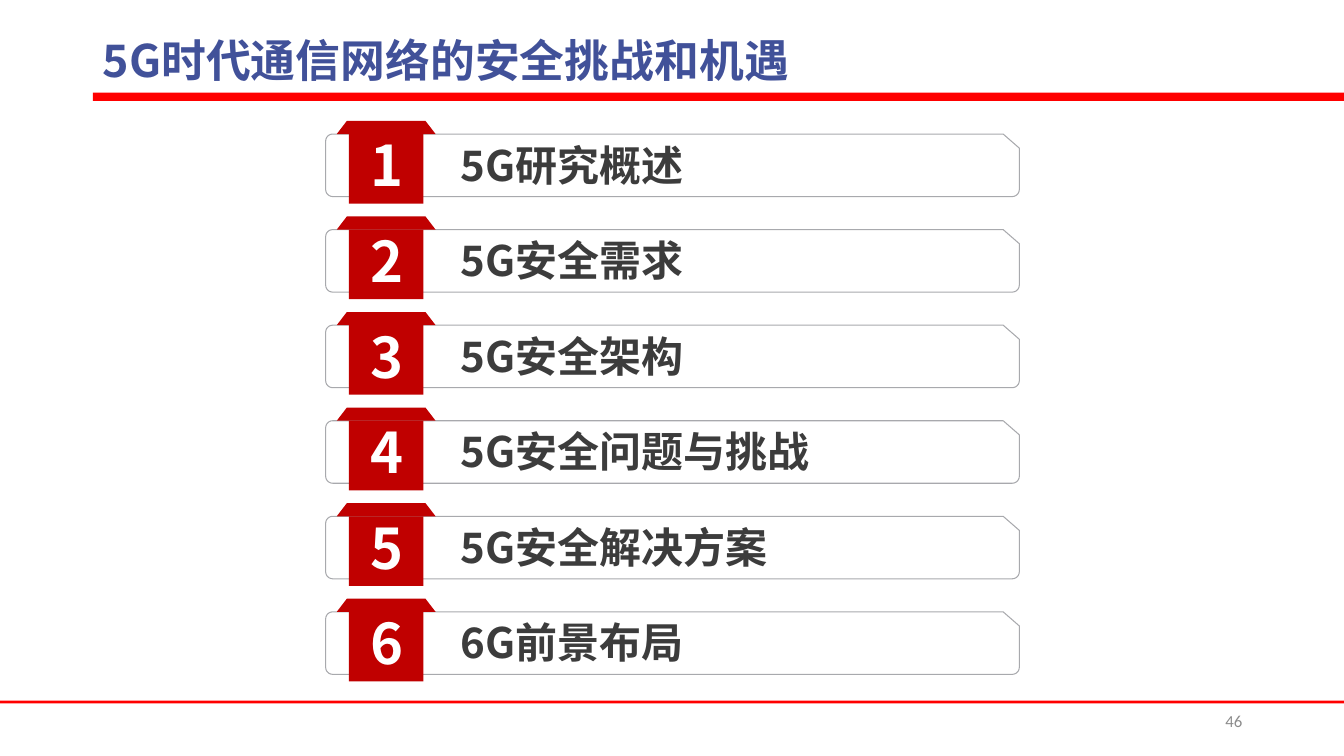
import math

import pptx
import pptx.dml.color
import pptx.enum.shapes
import pptx.enum.text
import pptx.oxml
import pptx.oxml.ns
import pptx.util

Inches = pptx.util.Inches
Align = pptx.enum.text.PP_ALIGN
Anchor = pptx.enum.text.MSO_ANCHOR
AutoSize = pptx.enum.text.MSO_AUTO_SIZE

COLORS = {
    "rule": "FF0000", "title": "415199", "number": "8C8C8C",
    "badge": "C00000", "card": "FFFFFF", "outline": "A8A9AD",
    "topic": "3C3C3C", "digit": "FFFFFF",
}
CJK_FONT = "Noto Sans CJK SC"
FORMATS = {
    "title": {"name": CJK_FONT, "size": pptx.util.Pt(32), "bold": True},
    "topic": {"name": CJK_FONT, "size": pptx.util.Pt(30), "bold": True},
    "digit": {"name": CJK_FONT, "size": pptx.util.Pt(40), "bold": True},
    "number": {"name": "Calibri", "size": pptx.util.Pt(12), "bold": False},
}
TOPICS = ["5G研究概述", "5G安全需求", "5G安全架构",
          "5G安全问题与挑战", "5G安全解决方案", "6G前景布局"]


def color(name):
    return pptx.dml.color.RGBColor.from_string(COLORS[name])


def paint(shape, fill, line=None):
    shape.shadow.inherit = False
    shape.fill.solid()
    shape.fill.fore_color.rgb = color(fill)
    if line:
        shape.line.color.rgb = color(line)
        shape.line.width = 0
    else:
        shape.line.fill.background()


def add_bar(shapes, left, top, width, height, fill):
    kind = pptx.enum.shapes.MSO_SHAPE.RECTANGLE
    bar = shapes.add_shape(kind, *map(Inches, (left, top, width, height)))
    paint(bar, fill)


def add_outline(shapes, points, fill, line=None):
    corners = [(Inches(x), Inches(y)) for x, y in points]
    builder = shapes.build_freeform(*corners[0])
    builder.add_line_segments(corners[1:], close=True)
    paint(builder.convert_to_shape(), fill, line)


def add_text(shapes, left, top, width, height, text, style,
             align=Align.LEFT, anchor=Anchor.TOP, grow=False, spacing=None):
    box = shapes.add_textbox(*map(Inches, (left, top, width, height)))
    frame = box.text_frame
    frame.word_wrap = True
    frame.vertical_anchor = anchor
    frame.auto_size = AutoSize.SHAPE_TO_FIT_TEXT if grow else AutoSize.NONE
    para = frame.paragraphs[0]
    para.alignment = align
    para.line_spacing = spacing
    span = para.add_run()
    span.text = text
    for key, value in FORMATS[style].items():
        setattr(span.font, key, value)
    span.font.color.rgb = color(style)
    # East Asian typeface
    east = pptx.oxml.parse_xml("<a:ea %s/>" % pptx.oxml.ns.nsdecls("a"))
    east.set("typeface", FORMATS[style]["name"])
    span.font._element.append(east)


def arc(center_x, center_y, radius, start):
    """Quarter turn, counterclockwise on the page, from the start angle."""
    angles = [math.radians(start - step * 15) for step in range(7)]
    return [(center_x + radius * math.cos(a), center_y + radius * math.sin(a))
            for a in angles]


def add_card(shapes, left, top, width, height):
    radius, snip_x, snip_y = 0.07, 0.16, 0.14
    right, bottom = left + width, top + height
    points = [(right, top + snip_y), (right - snip_x, top)]
    points += arc(left + radius, top + radius, radius, 270)
    points += arc(left + radius, bottom - radius, radius, 180)
    points += arc(right - radius, bottom - radius, radius, 90)
    add_outline(shapes, points, "card", "outline")


def add_badge(shapes, left, top, digit):
    width, fold, slant = 0.98, 0.13, 0.1
    right = left + width
    add_outline(shapes, [(left + slant, top), (right - slant, top),
                         (right, top + fold), (left, top + fold)], "badge")
    add_bar(shapes, left + 0.12, top + fold, 0.74, 0.69, "badge")
    add_text(shapes, left + 0.24, top + 0.05, 0.51, 0.77, digit, "digit",
             Align.CENTER, grow=True)


def add_agenda_row(page, left, top, width, height, number, topic):
    shapes = page.shapes.add_group_shape().shapes
    add_card(shapes, left, top, width, height)
    add_text(shapes, left + 1.24, top, 4.85, 0.61, topic, "topic", grow=True)
    add_badge(shapes, left + 0.11, top - 0.13, str(number))


def add_agenda(page, left, top, width, height):
    row_height = 0.62
    pitch = (height - row_height) / (len(TOPICS) - 1)
    for index, topic in enumerate(TOPICS):
        add_agenda_row(page, left, top + index * pitch, width, row_height,
                       index + 1, topic)


def add_header(page, left, top, width, height):
    add_bar(page.shapes, left, top + height, 13.33 - left, 0.08, "rule")
    add_text(page.shapes, left, top, width, height,
             "5G时代通信网络的安全挑战和机遇", "title",
             anchor=Anchor.MIDDLE, spacing=0.9)


def add_footer(page, left, top, width, height):
    add_bar(page.shapes, left, top, width, 0.03, "rule")
    add_text(page.shapes, left + 9.42, top, 3, height, "46", "number",
             Align.RIGHT, Anchor.MIDDLE)


def main():
    deck = pptx.Presentation()
    deck.slide_width, deck.slide_height = Inches(13.33), Inches(7.5)
    page = deck.slides.add_slide(deck.slide_layouts[6])
    add_footer(page, 0, 6.95, 13.33, 0.4)
    add_header(page, 0.92, 0.33, 11.5, 0.59)
    add_agenda(page, 3.23, 1.33, 6.88, 5.36)
    deck.save("out.pptx")


if __name__ == "__main__":
    main()
